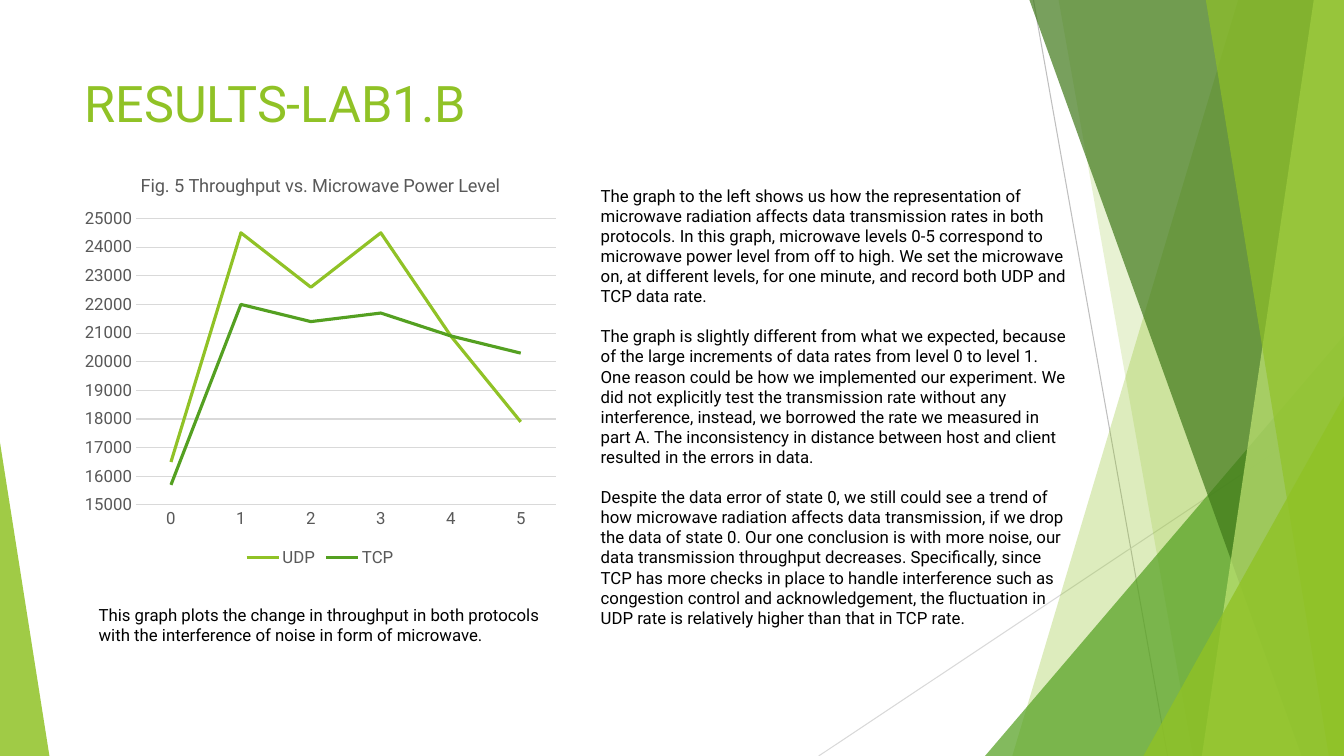
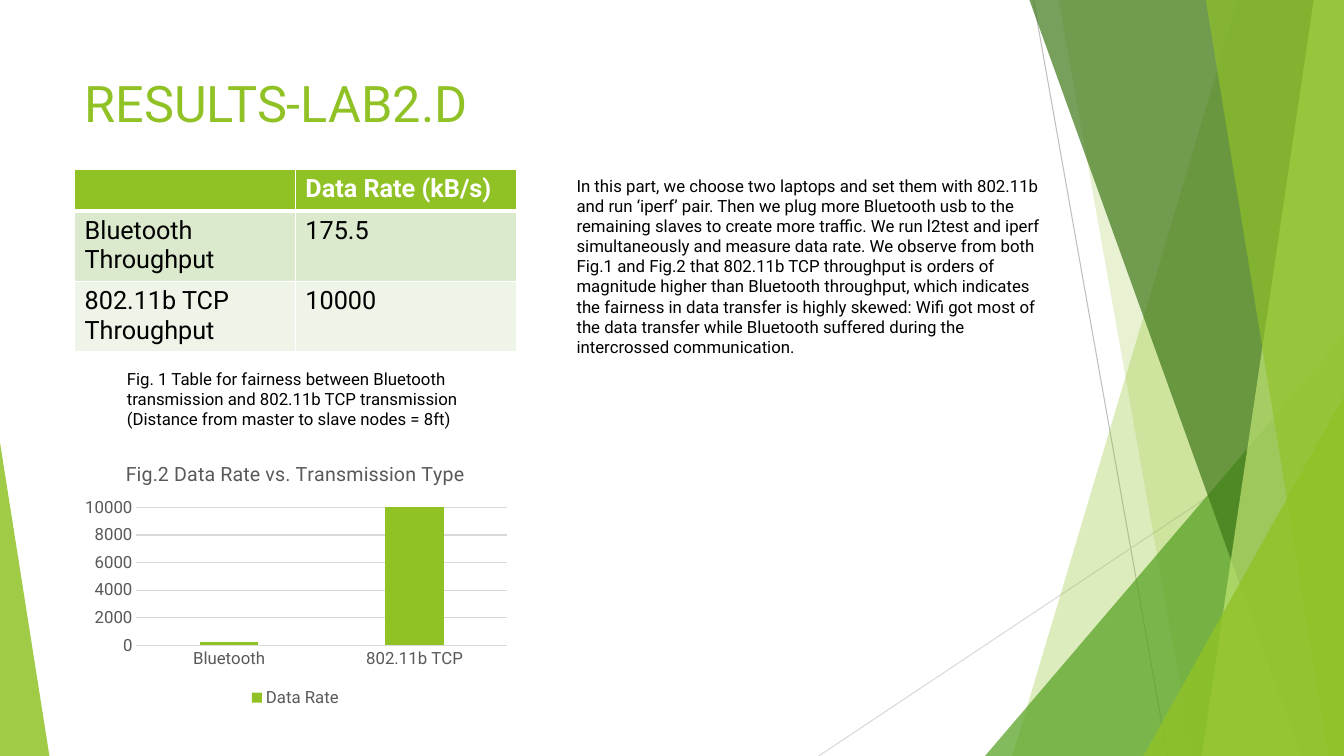
from lxml import etree
from pptx import Presentation
from pptx.chart.data import CategoryChartData
from pptx.dml.color import RGBColor
from pptx.enum.chart import XL_CHART_TYPE, XL_LEGEND_POSITION, XL_TICK_MARK
from pptx.enum.shapes import MSO_CONNECTOR, MSO_SHAPE
from pptx.enum.text import MSO_ANCHOR, MSO_AUTO_SIZE, PP_ALIGN
from pptx.oxml.ns import qn
from pptx.util import Inches, Pt

# Enum members
LINE, COLUMN = XL_CHART_TYPE.LINE, XL_CHART_TYPE.COLUMN_CLUSTERED
BOTTOM, NO_TICK = XL_LEGEND_POSITION.BOTTOM, XL_TICK_MARK.NONE
STRAIGHT, TRIANGLE = MSO_CONNECTOR.STRAIGHT, MSO_SHAPE.ISOSCELES_TRIANGLE
TOP, LEFT = MSO_ANCHOR.TOP, PP_ALIGN.LEFT
GROW, FIXED = MSO_AUTO_SIZE.SHAPE_TO_FIT_TEXT, MSO_AUTO_SIZE.NONE

# Colours
LIME = RGBColor(0x90, 0xC2, 0x26)
GREEN = RGBColor(0x54, 0xA0, 0x21)
FOREST = RGBColor(0x3F, 0x78, 0x19)
PALE = RGBColor(0xC0, 0xE4, 0x74)
BAND = RGBColor(0xDB, 0xE9, 0xCD)
MIST = RGBColor(0xEE, 0xF4, 0xE8)
WHITE = RGBColor(0xFF, 0xFF, 0xFF)
BLACK = RGBColor(0, 0, 0)
GREY = RGBColor(0x59, 0x59, 0x59)
SILVER = RGBColor(0xBF, 0xBF, 0xBF)
RULE = RGBColor(0xD9, 0xD9, 0xD9)

FACE = "Roboto"
WIDE, HIGH = 13.33, 7.5
EDGE = 0.74


def put(item, **values):
    for name, value in values.items():
        setattr(item, name, value)


def box(*sizes):
    return [Inches(size) for size in sizes]


class Deck:
    def __init__(self):
        self.show = Presentation()
        put(self.show, slide_width=Inches(WIDE), slide_height=Inches(HIGH))
        self.layout = self.show.slide_layouts[5]
        self.slide = None

    def page(self, title):
        first = self.slide is None
        self.slide = self.show.slides.add_slide(self.layout)
        if first:
            self.scene()
        head = self.slide.shapes.title
        left, top, width, height = box(EDGE, 0.67, 9.4, 1.44)
        put(head, left=left, top=top, width=width, height=height)
        frame = head.text_frame
        frame.text = title
        put(frame, vertical_anchor=TOP, auto_size=FIXED, word_wrap=True)
        frame.paragraphs[0].alignment = LEFT
        self.style(frame.paragraphs[0].runs[0].font, 36, LIME)

    def scene(self):
        """Draw the shared backdrop and hand it to the layout."""
        for holder in list(self.layout.placeholders):
            if holder.placeholder_format.idx:
                holder.element.getparent().remove(holder.element)
        self.line(10.25, 0, 11.58, HIGH, SILVER)
        self.line(WIDE, 4.03, 8.12, HIGH, RULE)
        self.blade(12.28, 10.04, LIME, 30)
        self.blade(10.5, 11.83, LIME, 20)
        self.wedge(9.77, 3.33, 3.56, 1, GREEN, 72)
        self.blade(10.21, 12.91, FOREST, 70)
        self.blade(13.03, 11.92, PALE, 70)
        self.blade(11.96, 13.18, LIME, 65)
        self.wedge(11.34, 3.93, 1.99, 1, LIME, 80)
        self.wedge(0, 4.39, 0.49, 0, LIME, 85)
        for shape in list(self.slide.shapes):
            if not shape.is_placeholder:
                self.layout.shapes.element.append(shape.element)

    def style(self, font, size, color, bold=False):
        put(font, name=FACE, size=Pt(size), bold=bold)
        font.color.rgb = color

    def line(self, x1, y1, x2, y2, color):
        line = self.slide.shapes.add_connector(STRAIGHT, *box(x1, y1, x2, y2))
        line.line.color.rgb = color
        line.line.width = Pt(0.75)
        etree.SubElement(line.element.spPr, qn("a:effectLst"))

    def paint(self, shape, color, alpha):
        shape.shadow.inherit = False
        shape.fill.solid()
        shape.fill.fore_color.rgb = color
        shape.line.fill.background()
        tint = shape.element.spPr.find(qn("a:solidFill"))[0]
        etree.SubElement(tint, qn("a:alpha"), val=str(alpha * 1000))

    def blade(self, top, foot, color, alpha):
        """A full-height band from a slanted left side to the right edge."""
        pen = self.slide.shapes.build_freeform(*box(top, 0))
        pen.add_line_segments([box(WIDE, 0), box(WIDE, HIGH), box(foot, HIGH)])
        self.paint(pen.convert_to_shape(), color, alpha)

    def wedge(self, left, top, width, tip, color, alpha):
        area = box(left, top, width, HIGH - top)
        shape = self.slide.shapes.add_shape(TRIANGLE, *area)
        shape.adjustments[0] = tip
        self.paint(shape, color, alpha)

    def text(self, area, *parts, gap=0):
        frame = self.slide.shapes.add_textbox(*box(*area)).text_frame
        put(frame, word_wrap=True, auto_size=GROW)
        for n, part in enumerate(parts):
            para = frame.paragraphs[0] if n == 0 else frame.add_paragraph()
            para.space_before = Pt(gap if n else 0)
            run = para.add_run()
            run.text = part
            self.style(run.font, 12, BLACK)

    def table(self, area, rows, heights):
        frame = self.slide.shapes.add_table(len(rows), len(rows[0]), *box(*area))
        table = frame.table
        for column in table.columns:
            column.width = Inches(area[2] / len(rows[0]))
        for r, row in enumerate(rows):
            table.rows[r].height = Inches(heights[r])
            for c, words in enumerate(row):
                cell = table.cell(r, c)
                cell.fill.solid()
                cell.fill.fore_color.rgb = (LIME, BAND, MIST)[r]
                self.border(cell, top=3 if r == 1 else 1, foot=3 if r == 0 else 1)
                para = cell.text_frame.paragraphs[0]
                color = BLACK if r else WHITE
                self.style(para.font, 18, color, r == 0)
                if words:
                    run = para.add_run()
                    run.text = words
                    self.style(run.font, 18, color, r == 0)

    def border(self, cell, top, foot):
        props = cell._tc.get_or_add_tcPr()
        sides = {"L": 1, "R": 1, "T": top, "B": foot}
        for n, (side, width) in enumerate(sides.items()):
            edge = etree.Element(qn("a:ln" + side), w=str(Pt(width)))
            fill = etree.SubElement(edge, qn("a:solidFill"))
            etree.SubElement(fill, qn("a:srgbClr"), val=str(WHITE))
            props.insert(n, edge)

    def chart(self, kind, area, title, size, cats, series, scale, inner):
        data = CategoryChartData(number_format="0")
        data.categories = cats
        for name, values in series.items():
            data.add_series(name, values)
        chart = self.slide.shapes.add_chart(kind, *box(*area), data).chart
        self.style(chart.font, 10, BLACK)
        # Title and legend
        chart.has_title = True
        run = chart.chart_title.text_frame.paragraphs[0].add_run()
        run.text = title
        self.style(run.font, size, GREY)
        chart.chart_title.include_in_layout = False
        chart.has_legend = True
        put(chart.legend, position=BOTTOM, include_in_layout=False)
        self.style(chart.legend.font, 12, GREY)
        # Axes
        low, high, step = scale
        put(chart.value_axis, minimum_scale=low, maximum_scale=high,
            major_unit=step, has_major_gridlines=True)
        for axis in (chart.category_axis, chart.value_axis):
            put(axis, major_tick_mark=NO_TICK, minor_tick_mark=NO_TICK)
            self.style(axis.tick_labels.font, 12, GREY)
        chart.value_axis.format.line.fill.background()
        grid = chart.value_axis.major_gridlines
        for item in (chart.category_axis, grid):
            item.format.line.color.rgb = RULE
            item.format.line.width = Pt(0.75)
        # Series
        plot = chart.plots[0]
        plot.vary_by_categories = False
        for item, color in zip(plot.series, (LIME, GREEN)):
            if kind == LINE:
                item.smooth = False
                item.format.line.color.rgb = color
                item.format.line.width = Pt(2.25)
            else:
                item.format.fill.solid()
                item.format.fill.fore_color.rgb = color
        if kind == COLUMN:
            put(plot, gap_width=219, overlap=-27)
        self.inset(chart, inner)

    def inset(self, chart, inner):
        """Place the plot as shares of the chart's width and height."""
        plot = chart.element.find(".//" + qn("c:plotArea"))
        for old in plot.findall(qn("c:layout")):
            plot.remove(old)
        layout = etree.Element(qn("c:layout"))
        manual = etree.SubElement(layout, qn("c:manualLayout"))
        tags = {"layoutTarget": "inner", "xMode": "edge", "yMode": "edge"}
        tags.update(zip("xywh", inner))
        for tag, value in tags.items():
            etree.SubElement(manual, qn("c:" + tag), val=str(value))
        plot.insert(0, layout)


deck = Deck()

# Microwave results
deck.page("RESULTS-LAB1.B")
deck.chart(
    LINE, (EDGE, 1.55, 4.87, 4.12),
    "Fig. 5 Throughput vs. Microwave Power Level", 13,
    ["0", "1", "2", "3", "4", "5"],
    {"UDP": (16500, 24500, 22600, 24500, 20900, 17900),
     "TCP": (15700, 22000, 21400, 21700, 20900, 20300)},
    (15000, 25000, 1000), (0.125, 0.15, 0.855, 0.69))
deck.text(
    (0.88, 5.95, 4.73, 0.5),
    "This graph plots the change in throughput in both protocols with the "
    "interference of noise in form of microwave.")
deck.text(
    (5.86, 1.79, 4.87, 4.75),
    "The graph to the left shows us how the representation of microwave "
    "radiation affects data transmission rates in both protocols. In this "
    "graph, microwave levels 0-5 correspond to microwave power level from off "
    "to high. We set the microwave on, at different levels, for one minute, "
    "and record both UDP and TCP data rate.",
    "The graph is slightly different from what we expected, because of the "
    "large increments of data rates from level 0 to level 1. One reason could "
    "be how we implemented our experiment. We did not explicitly test the "
    "transmission rate without any interference, instead, we borrowed the "
    "rate we measured in part A. The inconsistency in distance between host "
    "and client resulted in the errors in data.",
    "Despite the data error of state 0, we still could see a trend of how "
    "microwave radiation affects data transmission, if we drop the data of "
    "state 0. Our one conclusion is with more noise, our data transmission "
    "throughput decreases. Specifically, since TCP has more checks in place "
    "to handle interference such as congestion control and acknowledgement, "
    "the fluctuation in UDP rate is relatively higher than that in TCP rate.",
    gap=14)

# Fairness results
deck.page("RESULTS-LAB2.D")
deck.table(
    (EDGE, 1.68, 4.38, 1.81),
    [("", "Data Rate (kB/s)"),
     ("Bluetooth Throughput", "175.5"),
     ("802.11b TCP Throughput", "10000")],
    (0.41, 0.7, 0.7))
deck.text(
    (1.16, 3.61, 3.54, 0.71),
    "Fig. 1 Table for fairness between Bluetooth transmission and 802.11b TCP "
    "transmission",
    "(Distance from master to slave nodes = 8ft)")
deck.text(
    (5.62, 1.69, 4.8, 1.92),
    "In this part, we choose two laptops and set them with 802.11b and run "
    "‘iperf’ pair. Then we plug more Bluetooth usb to the remaining slaves to "
    "create more traffic. We run l2test and iperf simultaneously and measure "
    "data rate. We observe from both Fig.1 and Fig.2 that 802.11b TCP "
    "throughput is orders of magnitude higher than Bluetooth throughput, which "
    "indicates the fairness in data transfer is highly skewed: Wifi got most "
    "of the data transfer while Bluetooth suffered during the intercrossed "
    "communication.")
deck.chart(
    COLUMN, (EDGE, 4.43, 4.38, 2.63),
    "Fig.2 Data Rate vs. Transmission Type", 14,
    ["Bluetooth", "802.11b TCP"], {"Data Rate": (200, 10000)},
    (0, 10000, 2000), (0.14, 0.23, 0.84, 0.52))

deck.show.save("out.pptx")
